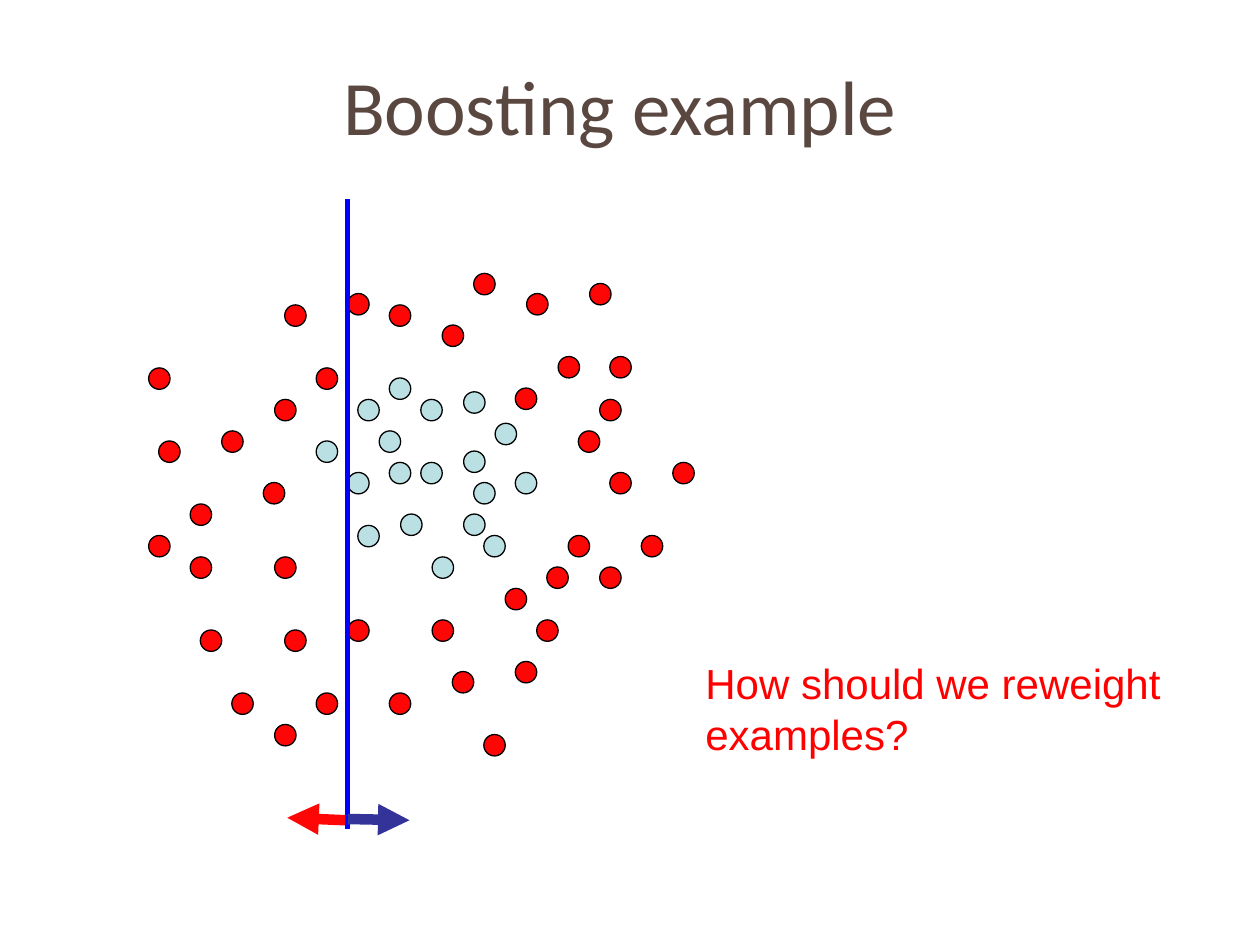
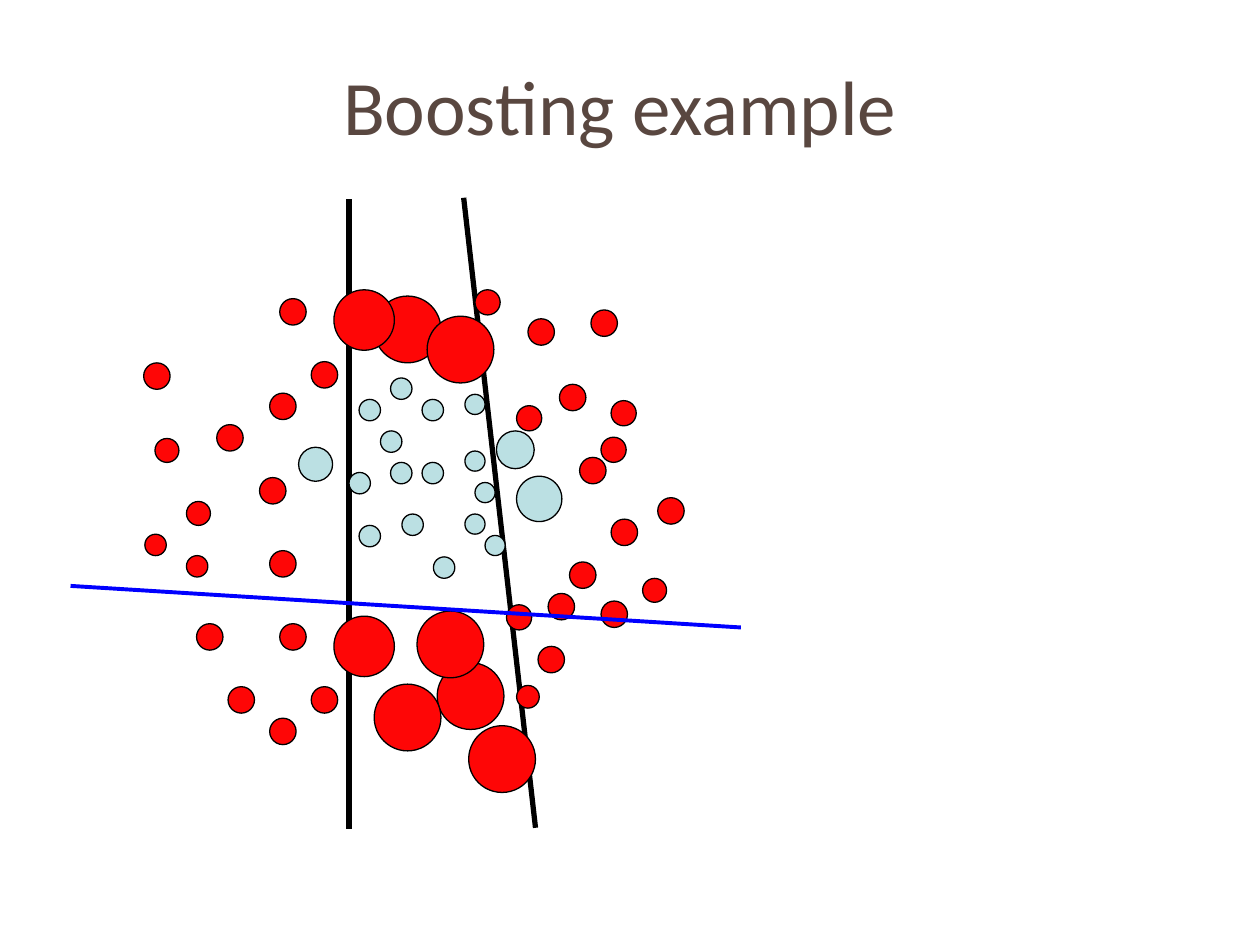
from lxml.etree import SubElement as Sub
from pptx import Presentation
from pptx.dml.color import RGBColor
from pptx.enum.shapes import MSO_CONNECTOR as Link, MSO_SHAPE as Shape
from pptx.enum.text import MSO_ANCHOR as Anchor, MSO_AUTO_SIZE as Fit, PP_ALIGN as Align
from pptx.oxml.ns import qn
from pptx.util import Pt

PX = 9144
RED = RGBColor(0xFE, 0x06, 0x06)
PALE = RGBColor(0xBB, 0xE0, 0xE3)
BLACK = RGBColor(0, 0, 0)
BLUE = RGBColor(0, 0, 0xFF)
NAVY = RGBColor(0x33, 0x33, 0x99)
BROWN = RGBColor(0x59, 0x47, 0x40)
ASK = RGBColor(0xFF, 0, 0)

EVEN_PALE = {17: [
    (334, 317), (368, 311), (393, 336), (309, 367), (368, 408), (409, 375),
    (284, 417), (334, 367), (368, 358), (376, 383), (318, 408), (276, 375),
    (284, 317), (343, 442), (301, 342), (384, 425), (251, 350), (309, 300)]}
EVEN_RED = {17: [
    (484, 375), (476, 317), (451, 425), (476, 450), (534, 367), (509, 425),
    (126, 350), (118, 292), (118, 425), (176, 342), (151, 400), (226, 500),
    (218, 442), (218, 575), (276, 492), (251, 550), (359, 533), (343, 492),
    (309, 550), (409, 525), (384, 583), (226, 242), (309, 242), (218, 317),
    (276, 233), (251, 292), (418, 233), (351, 258), (409, 308), (468, 225),
    (443, 283), (159, 500), (151, 442), (209, 383), (184, 550), (376, 217),
    (484, 283), (459, 342), (401, 467), (426, 492), (434, 450)]}

HEAVY_PALE = {
    16: [(369, 313), (369, 408), (369, 358), (377, 383), (385, 425)],
    17: [(335, 317), (310, 367), (285, 417), (335, 367), (319, 408), (277, 375),
         (285, 317), (344, 442), (302, 342), (310, 300)],
    27: [(237, 355)],
    30: [(394, 342)],
    36: [(410, 378)]}
HEAVY_RED = {
    17: [(115, 424), (148, 441)],
    18: [(410, 544)],
    19: [(510, 459), (123, 348), (148, 398)],
    20: [(477, 347), (410, 322), (377, 230), (485, 318), (402, 480)],
    21: [(485, 412), (452, 446), (477, 477), (522, 395), (114, 288), (172, 337),
         (222, 495), (214, 437), (214, 570), (247, 545), (222, 237), (214, 312),
         (247, 287), (419, 253), (469, 246), (444, 305), (156, 495), (206, 379),
         (181, 545), (460, 363), (427, 513), (435, 471)],
    53: [(347, 526), (331, 485), (297, 543), (372, 576), (297, 235), (339, 251)],
    48: [(265, 489), (265, 230)]}


def place(item, x, y, w, h):
    """Move and size an item, in px."""
    item.left, item.top, item.width, item.height = (n * PX for n in (x, y, w, h))


def style(par, font, size, tint):
    """Set the font of a paragraph."""
    par.font.name, par.font.size = font, Pt(size)
    par.font.color.rgb = tint


def start(deck):
    """Add a slide with the shared title."""
    slide = deck.slides.add_slide(deck.slide_layouts[5])
    title = slide.shapes.title
    place(title, 42, 25, 900, 125)
    title.text_frame.text = "Boosting example"
    title.text_frame.vertical_anchor = Anchor.MIDDLE
    par = title.text_frame.paragraphs[0]
    par.alignment, par.line_spacing = Align.CENTER, 0.93
    style(par, "Calibri", 44, BROWN)
    return slide


def dots(slide, sizes, tint):
    """Draw the round examples, grouped by diameter."""
    for size, spots in sizes.items():
        for x, y in spots:
            dot = slide.shapes.add_shape(Shape.OVAL, x * PX, y * PX, size * PX, size * PX)
            dot.shadow.inherit = False
            dot.fill.solid()
            dot.fill.fore_color.rgb = tint
            dot.line.color.rgb = BLACK
            dot.line.width = Pt(0.75)


def line(slide, ends, tint, width, arrow=False):
    """Draw a straight line, with an arrowhead at its end if asked."""
    link = slide.shapes.add_connector(Link.STRAIGHT, *(n * PX for n in ends))
    link.line.color.rgb = tint
    link.line.width = Pt(width)
    props = link._element.spPr
    if arrow:
        Sub(props.find(qn("a:ln")), qn("a:tailEnd"), type="triangle")
    Sub(props, qn("a:effectLst"))


def note(slide, text, x, y, w, h):
    """Add a wrapped question in red."""
    box = slide.shapes.add_textbox(0, 0, 0, 0)
    frame = box.text_frame
    frame.word_wrap = True
    frame.auto_size = Fit.SHAPE_TO_FIT_TEXT
    frame.text = text
    style(frame.paragraphs[0], "Arial", 24, ASK)
    place(box, x, y, w, h)


def main():
    """Build and save both slides."""
    deck = Presentation()
    deck.slide_width, deck.slide_height = 1000 * PX, 750 * PX

    slide = start(deck)
    dots(slide, EVEN_PALE, PALE)
    dots(slide, EVEN_RED, RED)
    line(slide, (276, 158, 276, 658), BLUE, 3)
    line(slide, (274, 651, 228, 649), RED, 6, arrow=True)
    line(slide, (276, 650, 325, 651), NAVY, 6, arrow=True)
    note(slide, "How should we reweight examples?", 550, 517, 417, 91)

    slide = start(deck)
    line(slide, (277, 158, 277, 658), BLACK, 3)
    line(slide, (368, 157, 425, 657), BLACK, 3)
    dots(slide, HEAVY_PALE, PALE)
    dots(slide, HEAVY_RED, RED)
    line(slide, (56, 465, 588, 498), BLUE, 2.25)

    deck.save("out.pptx")


if __name__ == "__main__":
    main()
